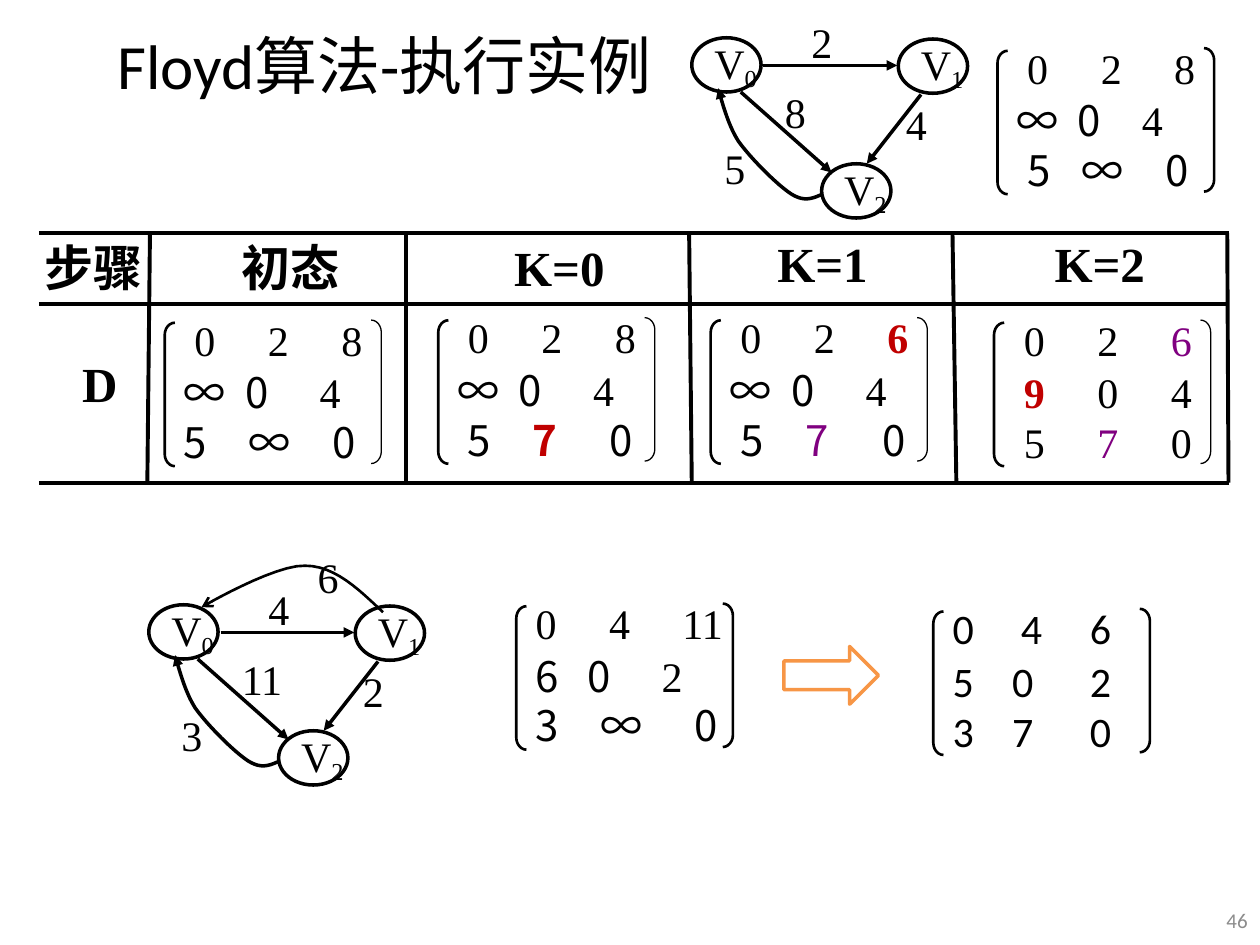
import dataclasses

import pptx
import pptx.dml.color
import pptx.enum.shapes
import pptx.enum.text
import pptx.oxml
import pptx.oxml.ns
import pptx.util

Pt = pptx.util.Pt
RGB = pptx.dml.color.RGBColor
SHAPE = pptx.enum.shapes.MSO_SHAPE
STRAIGHT = pptx.enum.shapes.MSO_CONNECTOR.STRAIGHT
ALIGN = pptx.enum.text.PP_ALIGN
qn = pptx.oxml.ns.qn


@dataclasses.dataclass(frozen=True)
class Theme:
    black: str = "000000"
    red: str = "C00000"
    purple: str = "800080"
    orange: str = "F79646"
    grey: str = "8C8C8C"
    white: str = "FFFFFF"
    serif: str = "Times New Roman"
    sans: str = "Calibri"
    chinese: str = "Noto Sans CJK SC"
    title: int = 36
    heading: int = 28
    body: int = 24
    footer: int = 12


theme = Theme()


def write(shape, runs, stops=(), align=ALIGN.LEFT, inset=0, wrap=True, **base):
    """Fill a shape with runs: plain strings, or (string, format) pairs."""
    frame = shape.text_frame
    values = {"word_wrap": wrap, "vertical_anchor": pptx.enum.text.MSO_ANCHOR.MIDDLE,
              "margin_left": Pt(inset), "margin_right": Pt(inset),
              "margin_top": Pt(0), "margin_bottom": Pt(0)}
    for name, value in values.items():
        setattr(frame, name, value)
    paragraph = frame.paragraphs[0]
    paragraph.alignment = align
    if stops:
        tabs = pptx.oxml.parse_xml(f'<a:tabLst {pptx.oxml.ns.nsdecls("a")}/>')
        for stop in stops:
            tabs.append(tabs.makeelement(qn("a:tab"), {"pos": str(int(Pt(stop))), "algn": "l"}))
        paragraph._p.get_or_add_pPr().append(tabs)
    for item in runs:
        text, changes = (item, {}) if isinstance(item, str) else item
        look = {"name": theme.serif, "size": theme.body, "bold": False,
                "color": theme.black, "baseline": 0} | base | changes
        run = paragraph.add_run()
        run.text = text
        for name, value in {"name": look["name"], "size": Pt(look["size"]),
                            "bold": look["bold"]}.items():
            setattr(run.font, name, value)
        run.font.color.rgb = RGB.from_string(look["color"])
        properties = run.font._element
        if look["baseline"]:
            properties.set("baseline", str(look["baseline"] * 1000))
        latin = properties.find(qn("a:latin"))
        latin.addnext(latin.makeelement(qn("a:ea"), {"typeface": theme.chinese}))


def outline(shape, width, color=theme.black, arrow=None):
    """Set the line, with an optional arrowhead at its end, and no shadow."""
    shape.line.color.rgb = RGB.from_string(color)
    shape.line.width = Pt(width)
    properties = shape._element.spPr
    line = properties.find(qn("a:ln"))
    if arrow:
        line.append(line.makeelement(qn("a:tailEnd"), {"type": arrow}))
    properties.append(properties.makeelement(qn("a:effectLst"), {}))


presentation = pptx.Presentation()
presentation.slide_width, presentation.slide_height = Pt(720), Pt(540)
slide = presentation.slides.add_slide(presentation.slide_layouts[6])
shapes = slide.shapes

# Title, table headings and slide number
heading = {"size": theme.heading, "bold": True}
for text, left, top, width, height, look in [
    ("Floyd算法-执行实例", 67, 0, 384, 73.5, {"size": theme.title, "name": theme.sans}),
    ("D", 40, 202, 34, 34, heading | {"align": ALIGN.CENTER}),
    ("步骤", 22, 135.5, 63, 34, heading | {"align": ALIGN.CENTER}),
    ("初态", 138, 135.5, 63, 34, heading),
    ("K=0", 293.8, 135.5, 60, 34, heading),
    ("K=1", 444.2, 133, 60, 34, heading),
    ("K=2", 602.6, 133, 60, 34, heading),
    ("46", 682, 511, 31, 29, {"size": theme.footer, "name": theme.sans,
                             "color": theme.grey, "align": ALIGN.RIGHT}),
]:
    write(shapes.add_textbox(Pt(left), Pt(top), Pt(width), Pt(height)), [text], **look)

# Rules of the step table
table_top, table_bottom = 133.2, 275.8
rules = [(22.3, y, 702, y) for y in (table_top, 173.5, table_bottom)]
rules += [(x1, table_top, x2, table_bottom) for x1, x2 in
          [(85.7, 84.2), (231.8, 231.8), (393.8, 395.3), (544.3, 546.5), (701.3, 702)]]
for ends in rules:
    outline(shapes.add_connector(STRAIGHT, *map(Pt, ends)), 2.25)

# Matrices: a row is its font, the left edges of its three cells, and the cells
serif, wide, sans = theme.serif, theme.chinese, theme.sans
new = {"color": theme.red, "bold": True}
kept = {"color": theme.purple}
four, two = ("4", {"name": serif}), ("2", {"name": serif})
even = (6, 48, 90)
first_row = (serif, even, ["0", "2", "8"])
second_row = (wide, (0, 35, 77.5), ["∞", "0", four])
matrices = [
    (105.1, 181.4, 0.75, [first_row, second_row, (wide, (0, 37, 85), ["5", "∞", "0"])]),
    (261.4, 180, 0.75, [first_row, second_row,
                        (wide, (6, 43, 87), ["5", ("7", new), "0"])]),
    (417.1, 180, 0.75, [(serif, even, ["0", "2", ("6", new)]), second_row,
                        (wide, (6, 43, 87), ["5", ("7", kept), "0"])]),
    (579, 181.4, 0.75, [(serif, even, ["0", "2", ("6", kept)]),
                        (serif, even, [("9", new), "0", "4"]),
                        (serif, even, ["5", ("7", kept), "0"])]),
    (581, 26, 1.5, [first_row, (wide, (0, 35, 71.5), ["∞", "0", four]),
                    (wide, (6, 37, 85), ["5", "∞", "0"])]),
    (306, 343.4, 1.5, [(serif, (0, 42, 84), ["0", "4", "11"]),
                       (wide, (0, 30, 72), ["6", "0", two]),
                       (wide, (0, 37, 91), ["3", "∞", "0"])]),
    (544.3, 346.4, 1.5, [(sans, (0, 39, 78.5), ["0", "4", "6"]),
                         (sans, (0, 34, 78.5), ["5", "0", "2"]),
                         (sans, (0, 34, 78.5), ["3", "7", "0"])]),
]
for left, top, right_width, rows in matrices:
    for (font, edges, cells), offset in zip(rows, (0, 30, 58.5)):
        box = shapes.add_textbox(Pt(left + edges[0]), Pt(top + offset), Pt(112), Pt(25))
        runs = [cells[0], "\t", cells[1], "\t", cells[2]]
        write(box, runs, [edge - edges[0] for edge in edges[1:]], name=font)
    for kind, x, y, width in [(SHAPE.LEFT_BRACKET, -11, 3, 1.5),
                              (SHAPE.RIGHT_BRACKET, 107, 1.5, right_width)]:
        bracket = shapes.add_shape(kind, Pt(left + x), Pt(top + y), Pt(5.8), Pt(82))
        bracket.adjustments[0] = 1.217
        bracket.fill.background()
        outline(bracket, width)

# Graphs: all positions are relative to the corner of node V0
nodes = [(0, 0), (118, 0.7), (74.2, 72)]
edges = [(41, 15.8, 117.4, 15.8), (28, 31, 79.9, 77), (131, 32.4, 100, 72)]
label_places = [(61.2, -11.5), (46, 28), (115.2, 35.3), (11.5, 60.5), (89.3, -30.2)]
back_curve = [(74.9, 89.3), (69.8, 91.4), (64.8, 94.3), (56.9, 89.3), (49, 84.2),
              (33.8, 69.1), (26.6, 59), (20.2, 49), (16.6, 33.8), (15.1, 28.8)]
top_curve = [(133.9, 4.3), (120.2, -8.6), (106.5, -22.3), (89.3, -22.3),
             (72, -23), (30.2, 1.4), (30.2, 1.4)]
back = (back_curve, 2, "triangle")
graphs = [(395.3, 21.6, ["2", "8", "4", "5"], [back]),
          (85, 345.6, ["4", "11", "2", "3", "6"], [back, (top_curve, 1.5, "arrow")])]
steps = 12
for left, top, labels, curves in graphs:
    for index, (x, y) in enumerate(nodes):
        node = shapes.add_shape(SHAPE.OVAL, Pt(left + x), Pt(top + y), Pt(39.6), Pt(31))
        node.fill.background()
        outline(node, 2)
        write(node, ["V", (str(index), {"baseline": -18})], inset=7.2, wrap=False)
    for x1, y1, x2, y2 in edges:
        edge = shapes.add_connector(STRAIGHT, Pt(left + x1), Pt(top + y1),
                                    Pt(left + x2), Pt(top + y2))
        outline(edge, 2, arrow="triangle")
    for controls, width, arrow in curves:
        points = [controls[0]]
        for start in range(0, len(controls) - 1, 3):
            for step in range(1, steps + 1):
                t = step / steps
                weights = ((1 - t) ** 3, 3 * t * (1 - t) ** 2, 3 * t * t * (1 - t), t ** 3)
                points.append([sum(weight * point[axis] for weight, point in
                                   zip(weights, controls[start:start + 4])) for axis in (0, 1)])
        points = [(Pt(left + x), Pt(top + y)) for x, y in points]
        builder = shapes.build_freeform(*points[0])
        builder.add_line_segments(points[1:], close=False)
        curve = builder.convert_to_shape()
        curve.fill.background()
        outline(curve, width, arrow=arrow)
    for label, (x, y) in zip(labels, label_places):
        box = shapes.add_textbox(Pt(left + x + 7.2), Pt(top + y), Pt(28), Pt(28))
        write(box, [label])

result_arrow = shapes.add_shape(SHAPE.RIGHT_ARROW, Pt(448), Pt(369.4), Pt(54), Pt(33))
result_arrow.fill.solid()
result_arrow.fill.fore_color.rgb = RGB.from_string(theme.white)
outline(result_arrow, 2, theme.orange)

presentation.save("out.pptx")
